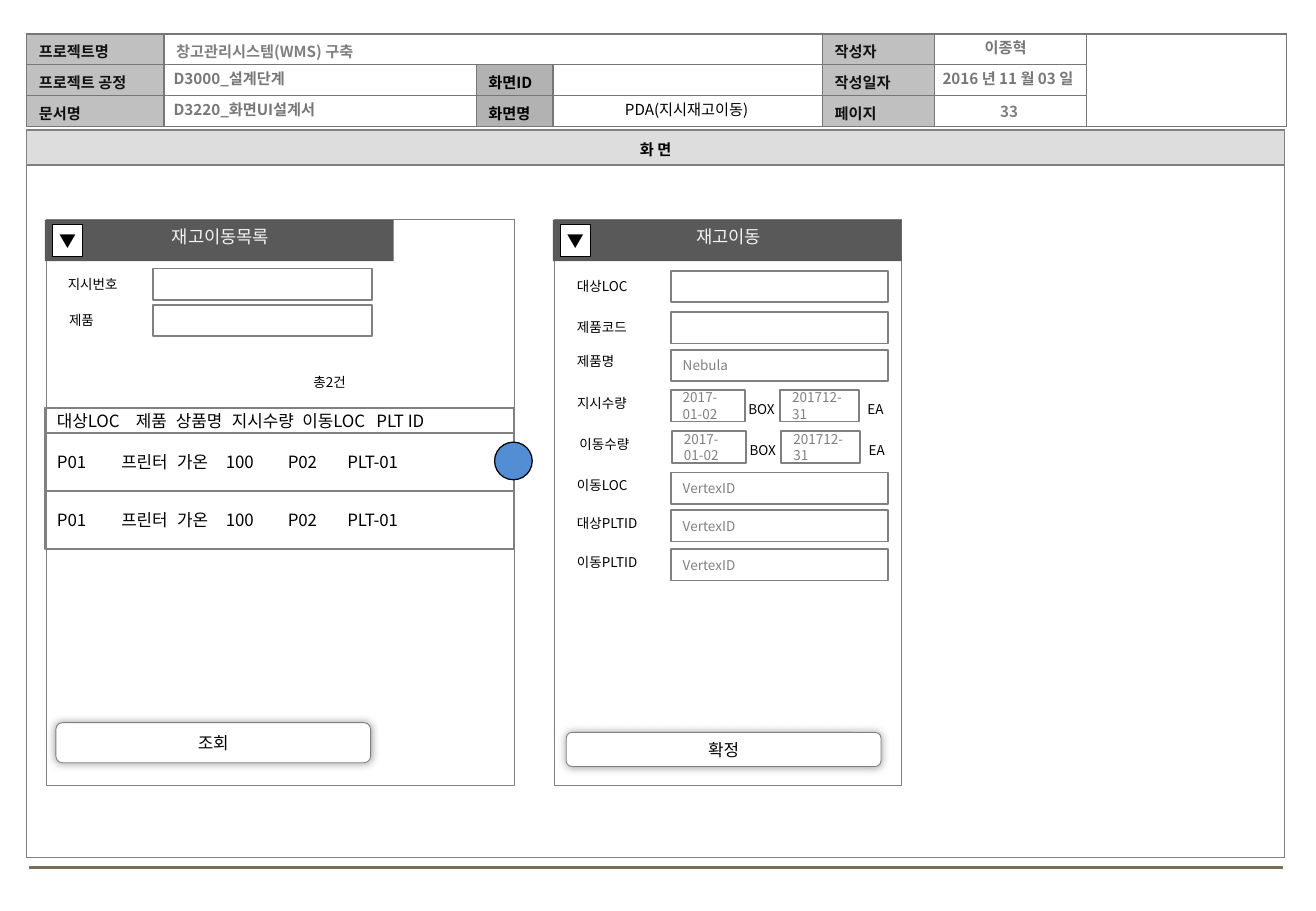
import pptx
import pptx.dml.color
import pptx.enum.shapes
import pptx.enum.text
import pptx.oxml
import pptx.oxml.ns
import pptx.util
from lxml import etree

Inches, Pt = pptx.util.Inches, pptx.util.Pt
rgb = pptx.dml.color.RGBColor.from_string
qn = pptx.oxml.ns.qn
SHAPE = pptx.enum.shapes.MSO_SHAPE
ALIGN = pptx.enum.text.PP_ALIGN
ANCHOR = pptx.enum.text.MSO_ANCHOR
FONT = "Noto Sans CJK KR"
GRAY = "808080"


def write(tf, text, size, color, align=ALIGN.LEFT, bold=False, tabs=()):
    tf.text = text
    p = tf.paragraphs[0]
    p.alignment = align
    if tabs:
        stops = etree.SubElement(p._p.get_or_add_pPr(), qn("a:tabLst"))
        for tab in tabs:
            etree.SubElement(stops, qn("a:tab"), pos=str(Inches(tab)), algn="l")
    for r in p.runs:
        r.font.size, r.font.bold, r.font.name = Pt(size), bold, FONT
        r.font.color.rgb = rgb(color)
        etree.SubElement(r._r.get_or_add_rPr(), qn("a:ea"), typeface=FONT)


def add(kind, x, y, w, h, text="", size=8, color="000000", align=ALIGN.LEFT,
        bold=False, fill=None, line=None, width=1, wrap=True, tabs=()):
    place = [Inches(v) for v in (x, y, w, h)]
    if kind is None:
        sp = s.shapes.add_textbox(*place)
        sp.text_frame.auto_size = pptx.enum.text.MSO_AUTO_SIZE.SHAPE_TO_FIT_TEXT
    else:
        sp = s.shapes.add_shape(kind, *place)
        sp.shadow.inherit = False
        if fill:
            sp.fill.solid()
            sp.fill.fore_color.rgb = rgb(fill)
        else:
            sp.fill.background()
        if line:
            sp.line.color.rgb = rgb(line)
            sp.line.width = Pt(width)
        else:
            sp.line.fill.background()
    sp.text_frame.word_wrap = wrap
    if text:
        write(sp.text_frame, text, size, color, align, bold, tabs)
    return sp


prs = pptx.Presentation()
prs.slide_width, prs.slide_height = Inches(10.83), Inches(7.5)
s = prs.slides.add_slide(prs.slide_layouts[6])

# Footer rule
rule = s.shapes.add_connector(pptx.enum.shapes.MSO_CONNECTOR.STRAIGHT,
                              Inches(0.24), Inches(7.14), Inches(10.56), Inches(7.14))
rule.line.color.rgb = rgb("7A6F54")
rule.line.width = Pt(1.75)
etree.SubElement(rule._element.spPr, qn("a:effectLst"))

# Document header and screen frame tables
header = {
    (0, 0): ("프로젝트명", "111111", "C0C0C0"),
    (0, 1): ("창고관리시스템(WMS) 구축", GRAY, None),
    (0, 4): ("작성자", "111111", "C0C0C0"),
    (1, 0): ("프로젝트 공정", "111111", "C0C0C0"),
    (1, 2): ("화면ID", "000000", "B2B2B2"),
    (1, 4): ("작성일자", "111111", "C0C0C0"),
    (2, 0): ("문서명", "111111", "C0C0C0"),
    (2, 2): ("화면명", "000000", "B2B2B2"),
    (2, 4): ("페이지", "111111", "C0C0C0"),
}
frame = {(0, 0): ("화 면", "000000", "DDDDDD")}
tables = [
    (0.28, [1.13, 2.57, 0.63, 2.22, 0.92, 1.25, 1.65], [0.76 / 3] * 3, header,
     [(0, 1, 0, 3), (0, 6, 2, 6)], "777777", ALIGN.LEFT, 0.1),
    (1.07, [10.35], [0.29, 5.7], frame, [], GRAY, ALIGN.CENTER, 0.02),
]
for top, cols, rows, texts, merges, border, align, inset in tables:
    table = s.shapes.add_table(len(rows), len(cols), Inches(0.22), Inches(top),
                               Inches(sum(cols)), Inches(sum(rows))).table
    table.first_row = table.horz_banding = False
    for column, w in zip(table.columns, cols):
        column.width = Inches(w)
    for row, h in zip(table.rows, rows):
        row.height = Inches(h)
    for r1, c1, r2, c2 in merges:
        table.cell(r1, c1).merge(table.cell(r2, c2))
    for i in range(len(rows)):
        for j in range(len(cols)):
            cell = table.cell(i, j)
            cell.margin_left = cell.margin_right = Inches(inset)
            cell.margin_top, cell.margin_bottom = Inches(0.03), 0
            cell.vertical_anchor = ANCHOR.MIDDLE
            text, color, fill = texts.get((i, j), ("", "000000", None))
            if text:
                write(cell.text_frame, text, 9, color, align, True)
            else:
                end = cell.text_frame.paragraphs[0]._p.get_or_add_endParaRPr()
                end.set("sz", "900")
            tcPr = cell._tc.get_or_add_tcPr()
            for side in ("a:lnL", "a:lnR", "a:lnT", "a:lnB"):
                ln = etree.SubElement(tcPr, qn(side), w=str(Pt(1)))
                solid = etree.SubElement(ln, qn("a:solidFill"))
                etree.SubElement(solid, qn("a:srgbClr"), val=border)
            if fill:
                cell.fill.solid()
                cell.fill.fore_color.rgb = rgb(fill)
            else:
                cell.fill.background()

# Header values
for x, y, w, text, color, align, bold in [
    (1.33, 0.52, 5.42, "D3000_설계단계", "777777", ALIGN.LEFT, True),
    (1.33, 0.78, 5.41, "D3220_화면UI설계서", "777777", ALIGN.LEFT, True),
    (7.68, 0.79, 1.25, "33", "7F7F7F", ALIGN.CENTER, True),
    (4.56, 0.78, 2.18, "PDA(지시재고이동)", "000000", ALIGN.CENTER, False),
    (7.51, 0.52, 1.57, "2016 년 11 월 03 일", "777777", ALIGN.CENTER, True),
    (7.49, 0.27, 1.57, "이종혁", "777777", ALIGN.CENTER, True),
]:
    add(None, x, y, w, 0.25, text, 9, color, align, bold)

# Device panels: frame, title bar, menu button, action button
for x, w, bar_x, title, (bx, by, bh, action) in [
    (0.38, 3.85, 0.37, "재고이동목록", (0.46, 5.95, 0.33, "조회")),
    (4.56, 2.86, 4.55, "재고이동", (4.66, 6.03, 0.28, "확정")),
]:
    add(SHAPE.FLOWCHART_PROCESS, x, 1.81, w, 4.66, fill="FFFFFF", line=GRAY, width=0.5)
    add(SHAPE.RECTANGLE, bar_x, 1.81, 2.87, 0.34, fill="595959")
    add(None, bar_x + 0.02, 1.81, 2.85, 0.28, title, 10.5, "F2F2F2", ALIGN.CENTER)
    menu = add(SHAPE.RECTANGLE, bar_x + 0.06, 1.85, 0.25, 0.26, "▼", 10,
               align=ALIGN.CENTER, fill="FFFFFF", line="000000", width=0.75, wrap=False)
    tf = menu.text_frame
    tf.margin_left = tf.margin_right = Inches(0.02)
    tf.margin_top = tf.margin_bottom = Inches(0.04)
    button = add(SHAPE.ROUNDED_RECTANGLE, bx, by, 2.59, bh, action, 10,
                 align=ALIGN.CENTER, fill="FFFFFF", line=GRAY, width=0.5)
    effects = button._element.spPr.find(qn("a:effectLst"))
    glow = etree.SubElement(effects, qn("a:outerShdw"), blurRad=str(Pt(5)), dist="0",
                            dir="0", algn="ctr", rotWithShape="0")
    shade = etree.SubElement(glow, qn("a:srgbClr"), val="000000")
    etree.SubElement(shade, qn("a:alpha"), val="40000")

# Search fields and count of the list panel
for label, x, y in [("지시번호", 0.46, 2.21), ("제품", 0.47, 2.51)]:
    add(SHAPE.RECTANGLE, 1.26, y, 1.8, 0.26, line=GRAY)
    add(None, x, y + 0.01, 0.65, 0.24, label, wrap=False)
add(None, 2.48, 3.03, 0.49, 0.24, "총2건", align=ALIGN.JUSTIFY)

# Stock list
item = "P01\t프린터\t가온\t100\tP02\tPLT-01"
item_tabs = (0.53, 0.99, 1.39, 1.9, 2.39)
for y, h, text, tabs in [
    (3.56, 0.48, item, item_tabs),
    (4.04, 0.48, item, item_tabs),
    (3.36, 0.21, "대상LOC\t제품\t상품명\t지시수량\t이동LOC\tPLT ID", (0.65, 0.98, 1.44, 2.02, 2.63)),
]:
    add(SHAPE.RECTANGLE, 0.37, y, 3.86, h, text, 10, line=GRAY, tabs=tabs)
add(SHAPE.OVAL, 4.07, 3.64, 0.31, 0.31, fill="538ED5", line="000000", width=0.75)

# Single-value fields of the move panel
for label, label_y, y, value in [
    ("대상LOC", 2.24, 2.23, ""),
    ("제품코드", 2.58, 2.57, ""),
    ("제품명", 2.86, 2.88, "Nebula"),
    ("이동LOC", 3.88, 3.89, "VertexID"),
    ("대상PLTID", 4.19, 4.2, "VertexID"),
    ("이동PLTID", 4.51, 4.52, "VertexID"),
]:
    add(SHAPE.RECTANGLE, 5.52, y, 1.79, 0.26, value, color=GRAY, line=GRAY)
    add(None, 4.65, label_y, 0.74, 0.24, label)

# Quantity fields of the move panel
for label, label_x, x, y in [("지시수량", 4.65, 5.52, 3.21), ("이동수량", 4.67, 5.53, 3.55)]:
    add(None, label_x, y - 0.01, 0.65, 0.24, label)
    for dx, w, value in [(0, 0.61, "2017-01-02"), (0.9, 0.65, "201712-31")]:
        add(SHAPE.RECTANGLE, x + dx, y, w, 0.26, value, color=GRAY, line=GRAY)
    for dx, w, unit in [(0.54, 0.44, "BOX"), (1.52, 0.4, "EA")]:
        add(None, x + dx, y + 0.04, w, 0.24, unit)

prs.save("out.pptx")
